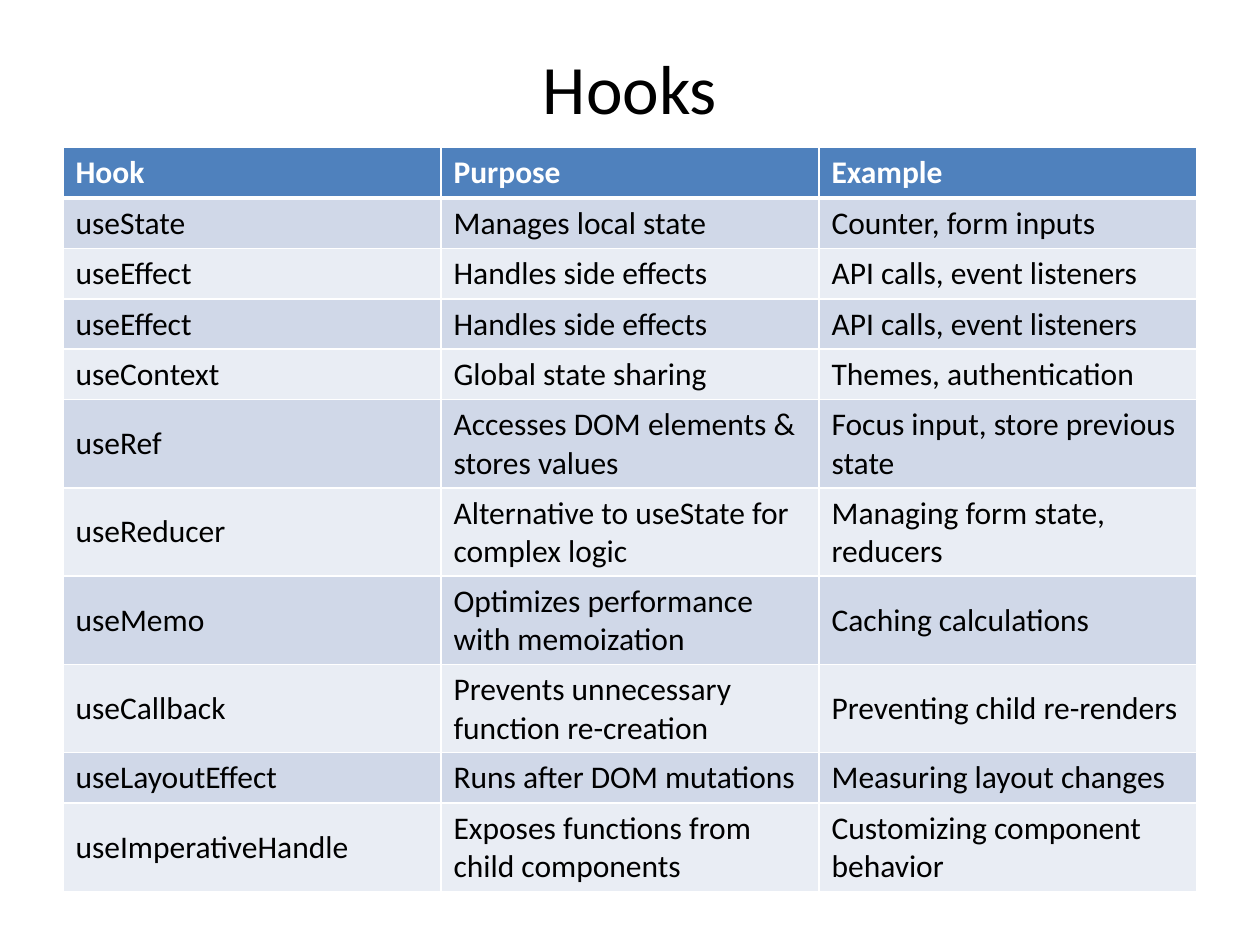
from lxml.etree import SubElement
from pptx import Presentation
from pptx.dml.color import RGBColor
from pptx.enum.text import MSO_ANCHOR, PP_ALIGN
from pptx.oxml.ns import qn
from pptx.util import Inches, Pt

FONT = "Calibri"
BLACK = RGBColor(0x00, 0x00, 0x00)
WHITE = RGBColor(0xFF, 0xFF, 0xFF)
HEADER_BLUE = RGBColor(0x4F, 0x81, 0xBD)
BANDS = (RGBColor(0xD0, 0xD8, 0xE8), RGBColor(0xE9, 0xED, 0xF4))

SINGLE_ROW, DOUBLE_ROW = Inches(0.4), Inches(0.69)
THIN, THICK = Pt(1), Pt(3)

HEADINGS = ("Hook", "Purpose", "Example")
# Each hook: row height, then the text of its cells
HOOKS = [
    (SINGLE_ROW, "useState", "Manages local state", "Counter, form inputs"),
    (SINGLE_ROW, "useEffect", "Handles side effects", "API calls, event listeners"),
    (SINGLE_ROW, "useEffect", "Handles side effects", "API calls, event listeners"),
    (SINGLE_ROW, "useContext", "Global state sharing", "Themes, authentication"),
    (DOUBLE_ROW, "useRef", "Accesses DOM elements & stores values",
     "Focus input, store previous state"),
    (DOUBLE_ROW, "useReducer", "Alternative to useState for complex logic",
     "Managing form state, reducers"),
    (DOUBLE_ROW, "useMemo", "Optimizes performance with memoization",
     "Caching calculations"),
    (DOUBLE_ROW, "useCallback", "Prevents unnecessary function re-creation",
     "Preventing child re-renders"),
    (SINGLE_ROW, "useLayoutEffect", "Runs after DOM mutations",
     "Measuring layout changes"),
    (DOUBLE_ROW, "useImperativeHandle", "Exposes functions from child components",
     "Customizing component behavior"),
]


def add_run(paragraph, text, size, color, bold=False):
    run = paragraph.add_run()
    run.text = text
    run.font.name = FONT
    run.font.size = Pt(size)
    run.font.bold = bold
    run.font.color.rgb = color


def set_borders(cell, top, bottom):
    """White borders; the sides are always thin."""
    properties = cell._tc.get_or_add_tcPr()
    for side, width in (("L", THIN), ("R", THIN), ("T", top), ("B", bottom)):
        line = SubElement(properties, qn(f"a:ln{side}"), w=str(width))
        fill = SubElement(line, qn("a:solidFill"))
        SubElement(fill, qn("a:srgbClr"), val=str(WHITE))


def add_title(slide, left, top, width, height):
    frame = slide.shapes.add_textbox(left, top, width, height).text_frame
    frame.word_wrap = True
    frame.vertical_anchor = MSO_ANCHOR.MIDDLE
    heading = frame.paragraphs[0]
    heading.alignment = PP_ALIGN.CENTER
    add_run(heading, "Hooks", 39.6, BLACK)


def add_hooks_table(slide, left, top, width):
    rows = [(SINGLE_ROW, *HEADINGS), *HOOKS]
    height = sum(row[0] for row in rows)
    table = slide.shapes.add_table(
        len(rows), len(HEADINGS), left, top, width, height).table
    for r, (row_height, *texts) in enumerate(rows):
        table.rows[r].height = row_height
        is_header = r == 0
        for c, text in enumerate(texts):
            cell = table.cell(r, c)
            cell.vertical_anchor = MSO_ANCHOR.MIDDLE
            # The rule under the header is thick
            set_borders(cell, THICK if r == 1 else THIN,
                        THICK if is_header else THIN)
            cell.fill.solid()
            cell.fill.fore_color.rgb = HEADER_BLUE if is_header else BANDS[(r - 1) % 2]
            add_run(cell.text_frame.paragraphs[0], text, 18,
                    WHITE if is_header else BLACK, bold=is_header)


def main():
    prs = Presentation()
    prs.slide_width, prs.slide_height = Inches(10), Inches(7.5)
    slide = prs.slides.add_slide(prs.slide_layouts[6])
    add_title(slide, Inches(0.5), Inches(0.3), Inches(9), Inches(0.78))
    add_hooks_table(slide, Inches(0.5), Inches(1.17), Inches(9))
    prs.save("out.pptx")


if __name__ == "__main__":
    main()
